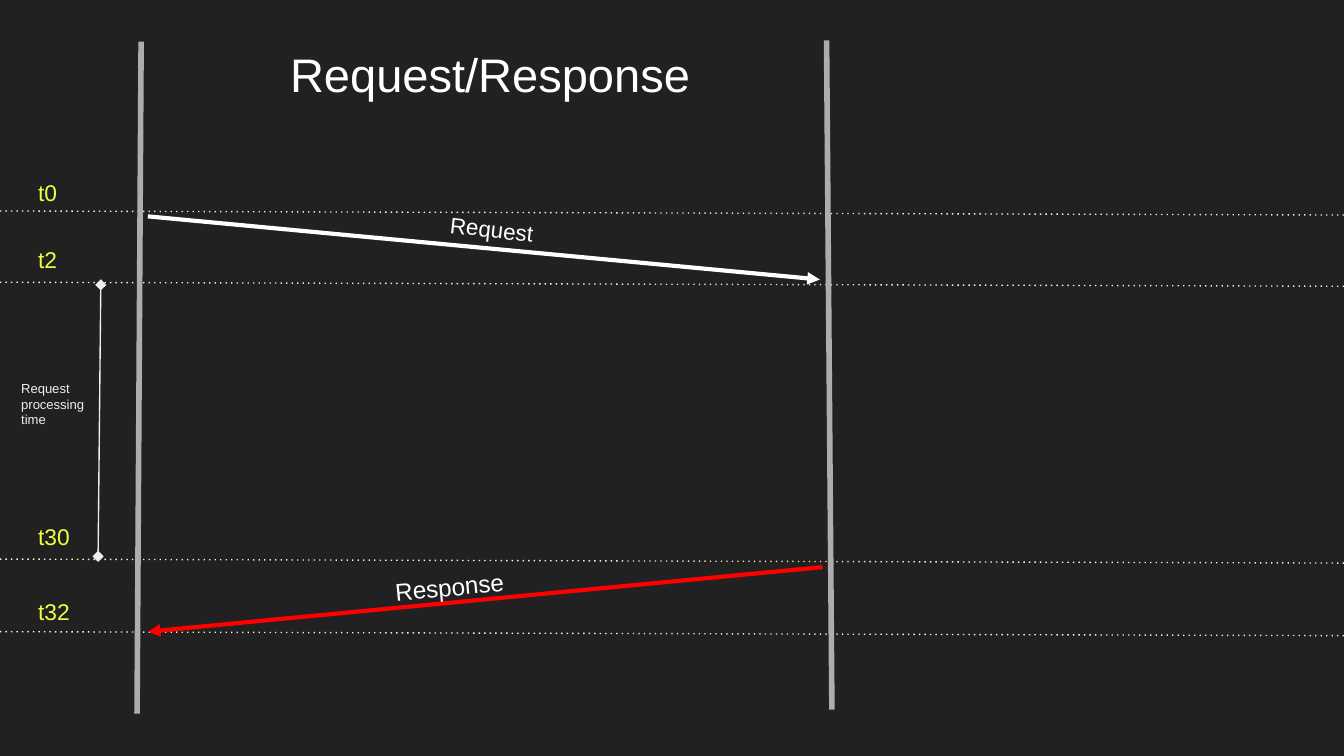
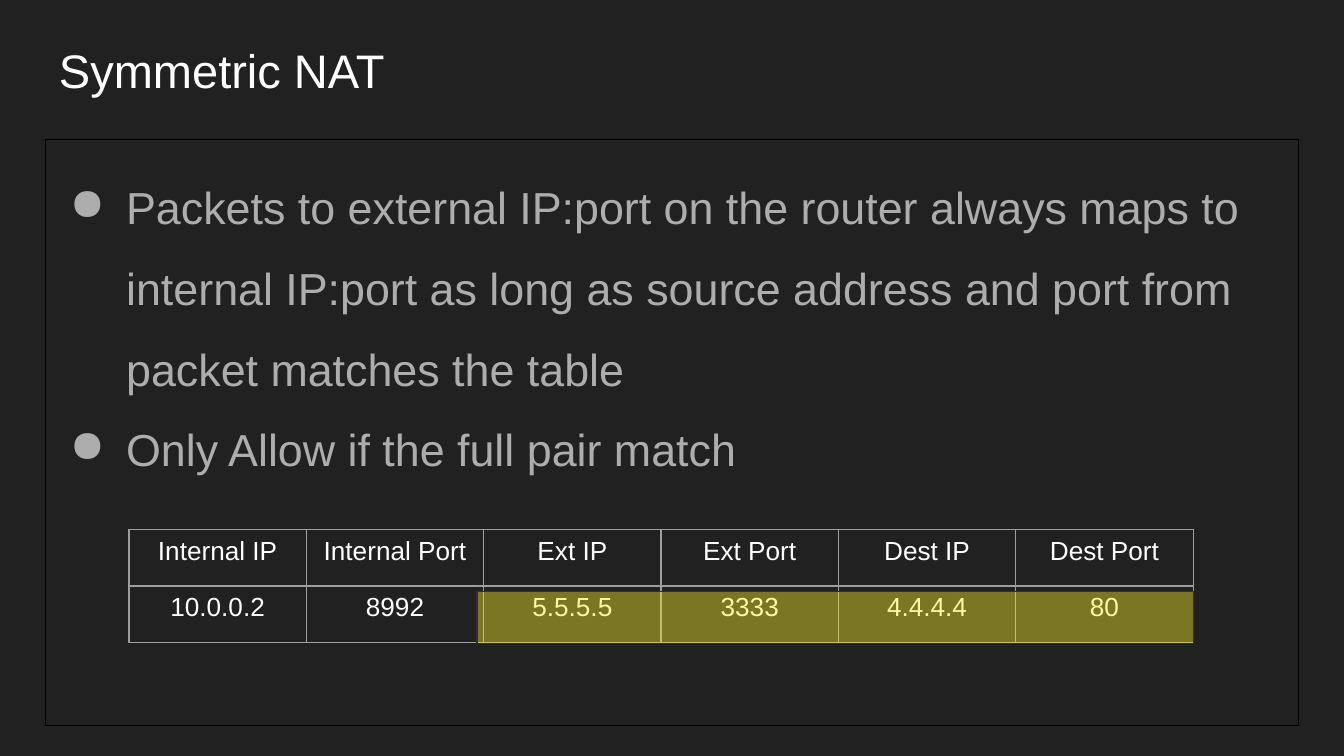
from dataclasses import dataclass

from lxml.etree import SubElement
from pptx import Presentation
from pptx.dml.color import RGBColor
from pptx.enum.shapes import MSO_CONNECTOR, MSO_SHAPE
from pptx.enum.text import MSO_ANCHOR, PP_ALIGN
from pptx.oxml.ns import qn
from pptx.util import Inches, Pt

COLUMNS, ROWS = 100, 56.25  # square grid units, a tenth of an inch each
UNIT = Inches(0.1)


@dataclass(frozen=True)
class Theme:
    font: str = "Arial"
    background: str = "212121"
    white: str = "FFFFFF"
    pale: str = "EEEEEE"
    grey: str = "ADADAD"
    guide: str = "FFF2CC"
    time: str = "EEFF41"
    response: str = "FF0000"
    frame: str = "000000"
    cell_border: str = "9E9E9E"
    highlight: str = "F8EC28"
    highlight_edge: str = "303030"
    highlight_opacity: int = 42
    title_size: float = 25.2
    body_size: float = 24
    cell_size: float = 14
    response_size: float = 13
    time_size: float = 12.2
    request_size: float = 12
    note_size: float = 7
    hairline: float = 0.75
    arrow: float = 2.25
    lifeline: float = 3


THEME = Theme()


@dataclass(frozen=True)
class Box:
    column: float
    row: float
    columns: float
    rows: float

    def inner(self, column, row, columns, rows):
        return Box(self.column + column, self.row + row, columns, rows)

    def point(self, column, row):
        return to_emu(self.column + column), to_emu(self.row + row)

    def emu(self):
        return [to_emu(n) for n in (self.column, self.row, self.columns, self.rows)]


def to_emu(units):
    return round(units * UNIT)


def set_values(target, values):
    for name, value in values.items():
        setattr(target, name, value)


def rgb(color):
    return RGBColor.from_string(color)


def format_frame(frame):
    margins = dict.fromkeys(
        ("margin_left", "margin_top", "margin_right", "margin_bottom"), UNIT)
    set_values(frame, {"word_wrap": True, "vertical_anchor": MSO_ANCHOR.TOP, **margins})


def write(para, text, size, color, **para_format):
    set_values(para, para_format)
    span = para.add_run()
    span.text = text
    set_values(span.font, {"name": THEME.font, "size": Pt(size)})
    span.font.color.rgb = rgb(color)


def add_text(page, box, lines, size, color, rotation=0):
    shape = page.shapes.add_textbox(*box.emu())
    shape.rotation = rotation
    frame = shape.text_frame
    format_frame(frame)
    for index, line in enumerate(lines):
        para = frame.add_paragraph() if index else frame.paragraphs[0]
        write(para, line, size, color)


def add_title(page, box, text):
    add_text(page, box, [text], THEME.title_size, THEME.white)


def add_line(page, start, end, color, width, dash=None, head=None, tail=None):
    connector = page.shapes.add_connector(MSO_CONNECTOR.STRAIGHT, *start, *end)
    connector.line.color.rgb = rgb(color)
    connector.line.width = Pt(width)
    outline = connector.line._get_or_add_ln()
    for tag, kind, key in (("prstDash", dash, "val"),
                           ("headEnd", head, "type"),
                           ("tailEnd", tail, "type")):
        if kind:
            SubElement(outline, qn(f"a:{tag}")).set(key, kind)
    SubElement(connector._element.spPr, qn("a:effectLst"))


def add_rectangle(page, box, line_color, fill_color=None, opacity=100):
    shape = page.shapes.add_shape(MSO_SHAPE.RECTANGLE, *box.emu())
    shape.shadow.inherit = False
    shape.line.color.rgb = rgb(line_color)
    shape.line.width = Pt(THEME.hairline)
    if fill_color:
        shape.fill.solid()
        shape.fill.fore_color.rgb = rgb(fill_color)
        color = shape._element.spPr.find(f"{qn('a:solidFill')}/{qn('a:srgbClr')}")
        SubElement(color, qn("a:alpha")).set("val", str(opacity * 1000))
    else:
        shape.fill.background()
    return shape


def add_bullet(para):
    """Hang the paragraph five units in, behind a grey disc."""
    properties = para._p.get_or_add_pPr()
    properties.set("marL", str(to_emu(5)))
    properties.set("indent", str(to_emu(-4.2)))
    color = SubElement(properties, qn("a:buClr"))
    SubElement(color, qn("a:srgbClr")).set("val", THEME.grey)
    SubElement(properties, qn("a:buChar")).set("char", "●")


def add_bullet_panel(page, box, lines):
    frame = add_rectangle(page, box, THEME.frame).text_frame
    format_frame(frame)
    for index, line in enumerate(lines):
        para = frame.add_paragraph() if index else frame.paragraphs[0]
        add_bullet(para)
        write(para, line, THEME.body_size, THEME.grey,
              alignment=PP_ALIGN.LEFT, line_spacing=1.5)


def set_cell_borders(cell):
    properties = cell._tc.get_or_add_tcPr()
    for index, side in enumerate(("lnL", "lnR", "lnT", "lnB")):
        border = properties.makeelement(
            qn(f"a:{side}"), {"w": str(Pt(THEME.hairline))})
        fill = SubElement(border, qn("a:solidFill"))
        SubElement(fill, qn("a:srgbClr")).set("val", THEME.cell_border)
        properties.insert(index, border)


def add_mapping_table(page, box, records):
    table = page.shapes.add_table(len(records), len(records[0]), *box.emu()).table
    set_values(table, {"first_row": False, "horz_banding": False})
    for column in table.columns:
        column.width = to_emu(box.columns / len(records[0]))
    for row, record in zip(table.rows, records):
        row.height = to_emu(box.rows / len(records))
        for cell, text in zip(row.cells, record):
            cell.fill.background()
            set_cell_borders(cell)
            format_frame(cell.text_frame)
            write(cell.text_frame.paragraphs[0], text, THEME.cell_size,
                  THEME.white, alignment=PP_ALIGN.CENTER)


def add_time_marks(page, box):
    """Dotted guides across the box, each with its label above the left end."""
    marks = (("t0", 15.7, 12.3), ("t2", 21, 17.3),
             ("t30", 41.6, 37.9), ("t32", 47, 43.5))
    for label, guide_row, label_row in marks:
        add_line(page, box.point(box.columns, guide_row + 0.3),
                 box.point(0, guide_row), THEME.guide, THEME.hairline, dash="dot")
        add_text(page, box.inner(1.85, label_row, 5.6, 3.5), [label],
                 THEME.time_size, THEME.time)


def add_lifelines(page, box):
    for start, end in (((51.3, 0), (51.7, 49.8)), ((0.3, 0.1), (0, 50.1))):
        add_line(page, box.point(*start), box.point(*end), THEME.grey, THEME.lifeline)


def add_messages(page, box):
    messages = (
        ("Request", (0, 0), (50, 4.7), THEME.white,
         (21.5, -0.9, 11.3, 3.9), 6.3, THEME.request_size),
        ("Response", (50.2, 26.1), (0, 30.9), THEME.response,
         (17.4, 25.4, 11.3, 4.2), 354.5, THEME.response_size),
    )
    for text, start, end, color, label_place, rotation, size in messages:
        add_line(page, box.point(*start), box.point(*end), color,
                 THEME.arrow, tail="triangle")
        add_text(page, box.inner(*label_place), [text], size, THEME.white, rotation)


def add_processing_span(page, box):
    add_line(page, box.point(6.9, 0), box.point(6.7, box.rows), THEME.pale,
             THEME.hairline, head="diamond", tail="diamond")
    add_text(page, box.inner(0, 6.1, 8, 5.6), ["Request processing", "time"],
             THEME.note_size, THEME.pale)


def build_sequence_page(page, box):
    add_time_marks(page, box)
    add_lifelines(page, box.inner(10.2, 3, 51.7, 50.1))
    add_messages(page, box.inner(11, 16.1, 50.2, 30.9))
    add_title(page, box.inner(20.6, 2.4, 34, 6.3), "Request/Response")
    add_processing_span(page, box.inner(0.6, 21.2, 8, 20.2))


def build_nat_page(page, box):
    content = box.inner(3.4, 2.1, 93.2, 51.9)
    add_title(page, content.inner(0, 0, content.columns, 6.3), "Symmetric NAT")
    add_bullet_panel(page, content.inner(0, 8.3, content.columns, 43.6), [
        "Packets to external IP:port on the router always maps to internal IP:port "
        "as long as source address and port from packet matches the table",
        "Only Allow if the full pair match",
    ])
    table_box = content.inner(6.2, 37.3, 79.2, 8.4)
    add_mapping_table(page, table_box, [
        ("Internal IP", "Internal Port", "Ext IP", "Ext Port", "Dest IP", "Dest Port"),
        ("10.0.0.2", "8992", "5.5.5.5", "3333", "4.4.4.4", "80"),
    ])
    add_rectangle(page, table_box.inner(25.9, 4.6, 53.3, 3.9), THEME.highlight_edge,
                  THEME.highlight, THEME.highlight_opacity)


def main():
    deck = Presentation()
    set_values(deck, {"slide_width": to_emu(COLUMNS), "slide_height": to_emu(ROWS)})
    for build in (build_sequence_page, build_nat_page):
        page = deck.slides.add_slide(deck.slide_layouts[6])
        page.background.fill.solid()
        page.background.fill.fore_color.rgb = rgb(THEME.background)
        build(page, Box(0, 0, COLUMNS, ROWS))
    deck.save("out.pptx")


if __name__ == "__main__":
    main()
